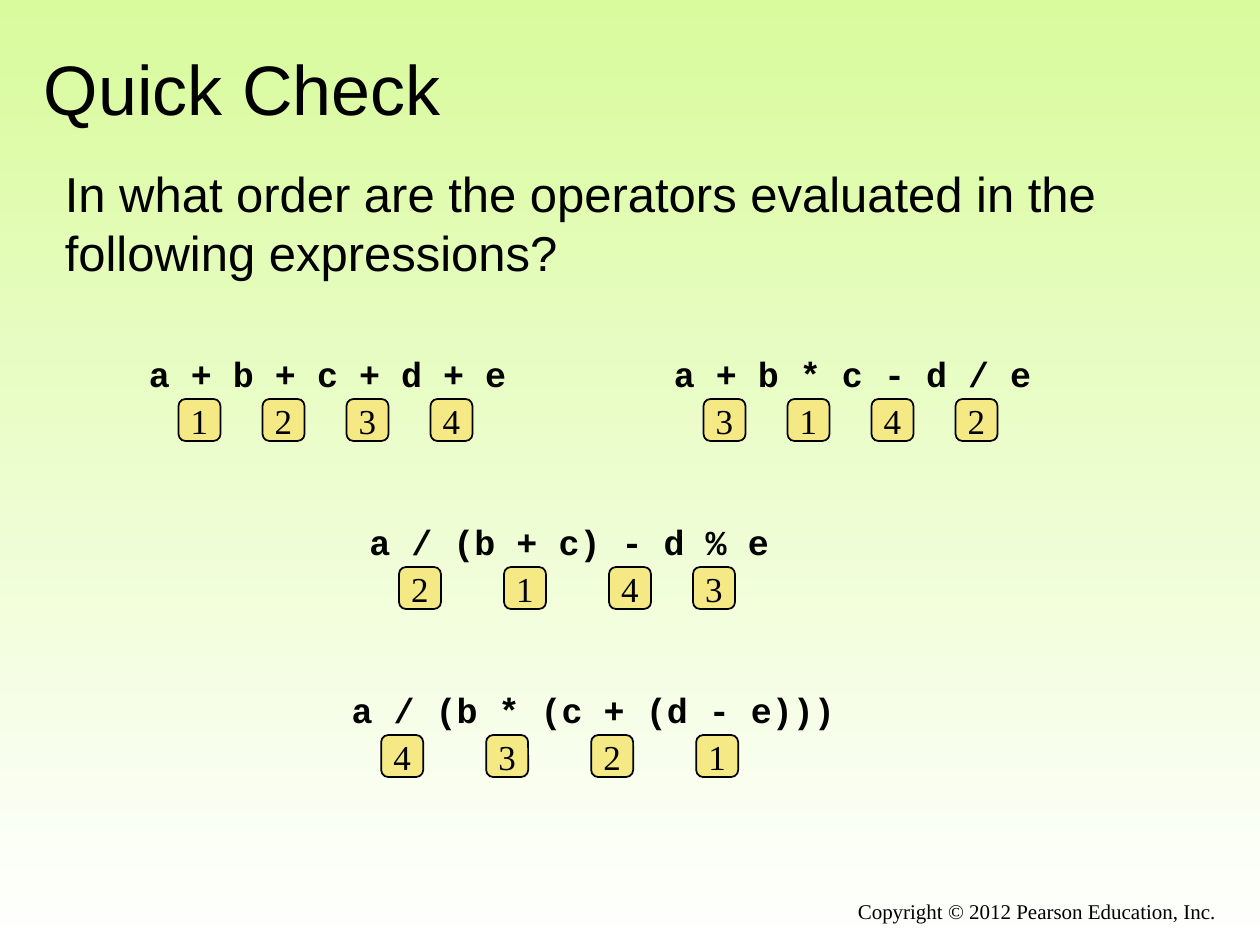
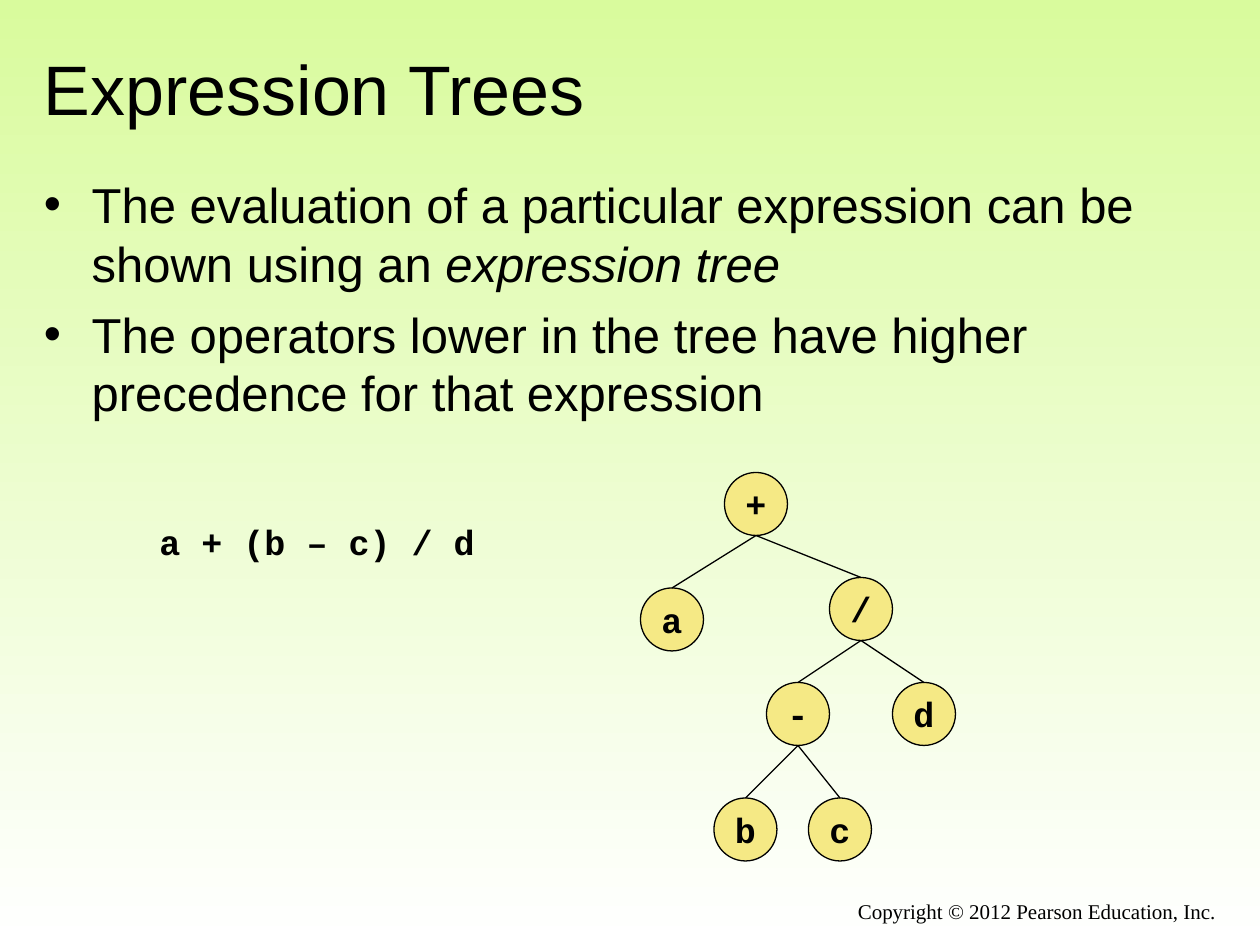
from dataclasses import dataclass

from lxml import etree
from pptx import Presentation
from pptx import util as u
from pptx.dml.color import RGBColor
from pptx.enum import shapes, text
from pptx.oxml.ns import qn


@dataclass(frozen=True)
class Theme:
    ink: RGBColor = RGBColor.from_string("000000")
    gold: RGBColor = RGBColor.from_string("F5E985")
    lime: RGBColor = RGBColor.from_string("D9FB9D")
    white: RGBColor = RGBColor.from_string("FFFFFF")
    sans: str = "Arial"
    mono: str = "Courier New"
    serif: str = "Times New Roman"
    head: int = 40
    body: int = 28
    code: int = 20
    foot: int = 12


T = Theme()
LEFT, MID, RIGHT = text.PP_ALIGN.LEFT, text.PP_ALIGN.CENTER, text.PP_ALIGN.RIGHT

deck = Presentation()
deck.slide_width, deck.slide_height = u.Inches(10), u.Inches(7.5)
UNIT = deck.slide_width / 120  # the slide is a grid of 120 columns and 90 rows
CHAR = 2  # columns that one code letter takes
PAD = 3  # columns for both side margins of a code line, with some slack


def grid(*cells):
    return [round(cell * UNIT) for cell in cells]


def write(shape, paras, font, size, bold=False, align=LEFT, wrap=True, middle=False):
    """Fill a shape with paragraphs, each a list of (words, italic) runs."""
    frame = shape.text_frame
    frame.word_wrap = wrap
    frame.vertical_anchor = text.MSO_ANCHOR.MIDDLE if middle else text.MSO_ANCHOR.TOP
    for i, runs in enumerate(paras):
        para = frame.paragraphs[0] if i == 0 else frame.add_paragraph()
        para.alignment = align
        for words, slant in runs:
            run = para.add_run()
            run.text = words
            run.font.name, run.font.size = font, u.Pt(size)
            run.font.bold, run.font.italic = bold, slant
            run.font.color.rgb = T.ink
    return frame


# Parts that both slides share
pages = []
for name in ("Quick Check", "Expression Trees"):
    page = deck.slides.add_slide(deck.slide_layouts[6])
    fill = page.background.fill
    fill.gradient()
    fill.gradient_angle = 270
    for stop, tint, place in zip(fill.gradient_stops, (T.lime, T.white), (0, 1)):
        stop.color.rgb, stop.position = tint, place
    title = page.shapes.add_textbox(*grid(3, 3.6, 114, 9.4))
    write(title, [[(name, False)]], T.sans, T.head, middle=True)
    foot = page.shapes.add_textbox(*grid(44, 85, 73, 4))
    write(foot, [[("Copyright © 2012 Pearson Education, Inc.", False)]],
          T.serif, T.foot, align=RIGHT)
    pages.append(page)
quiz, tree = pages

# Code lines of both slides, with a rank chip under each operator of the quiz
ask = quiz.shapes.add_textbox(*grid(5, 15, 113, 18))
write(ask, [[("In what order are the operators evaluated in the following "
              "expressions?", False)]], T.sans, T.body)

sums = [
    (quiz, 13, 33, "a + b + c + d + e", "1234"),
    (quiz, 63, 33, "a + b * c - d / e", "3142"),
    (quiz, 34, 49, "a / (b + c) - d % e", "2143"),
    (quiz, 32.3, 65, "a / (b * (c + (d - e)))", "4321"),
    (tree, 14, 49, "a + (b – c) / d", ""),
]
for page, col, row, code, ranks in sums:
    line = page.shapes.add_textbox(*grid(col, row, CHAR * len(code) + PAD, 5.3))
    write(line, [[(code, False)]], T.mono, T.code, bold=True, wrap=False)
    spots = [i for i, sign in enumerate(code) if sign in "+-*/%"]
    for spot, rank in zip(spots, ranks):
        chip = page.shapes.add_shape(shapes.MSO_SHAPE.ROUNDED_RECTANGLE,
                                     *grid(col + CHAR * spot, row + 5, 4, 4))
        chip.shadow.inherit = False
        chip.fill.solid()
        chip.fill.fore_color.rgb = T.gold
        chip.line.color.rgb, chip.line.width = T.ink, u.Pt(1)
        write(chip, [[(rank, False)]], T.serif, T.code, align=MID, wrap=False,
              middle=True)

# Expression Trees: bullets, then the tree
points = [
    [("The evaluation of a particular expression can be shown using an ", False),
     ("expression tree", True)],
    [("The operators lower in the tree have higher precedence for that expression",
      False)],
]
body = tree.shapes.add_textbox(*grid(3, 16, 114, 25))
for i, para in enumerate(write(body, points, T.sans, T.body).paragraphs):
    para.space_before = u.Pt(7 if i else 0)
    props = para._p.get_or_add_pPr()
    props.set("marL", str(u.Inches(0.38)))
    props.set("indent", str(-u.Inches(0.38)))
    etree.SubElement(props, qn("a:buFont")).set("typeface", T.sans)
    etree.SubElement(props, qn("a:buChar")).set("char", "•")

SIZE = 6
spots = {"a": (61, 56), "+": (69, 45), "/": (79, 55), "-": (73, 65),
         "d": (85, 65), "b": (68, 76), "c": (77, 76)}
nodes = {}
for sign, (col, row) in spots.items():
    node = tree.shapes.add_shape(shapes.MSO_SHAPE.OVAL, *grid(col, row, SIZE, SIZE))
    node.shadow.inherit = False
    node.fill.solid()
    node.fill.fore_color.rgb = T.gold
    node.line.color.rgb, node.line.width = T.ink, u.Pt(0.75)
    write(node, [[(sign, False)]], T.mono, T.code, bold=True, align=MID, wrap=False,
          middle=True)
    nodes[sign] = node

for top, kids in {"+": "a/", "/": "-d", "-": "bc"}.items():
    col, row = spots[top]
    for kid in kids:
        x, y = spots[kid]
        edge = tree.shapes.add_connector(
            shapes.MSO_CONNECTOR.STRAIGHT,
            *grid(col + SIZE / 2, row + SIZE, x + SIZE / 2, y))
        edge.end_connect(nodes[kid], 0)
        edge.line.color.rgb, edge.line.width = T.ink, u.Pt(0.75)
        etree.SubElement(edge._element.spPr, qn("a:effectLst"))

deck.save("out.pptx")
